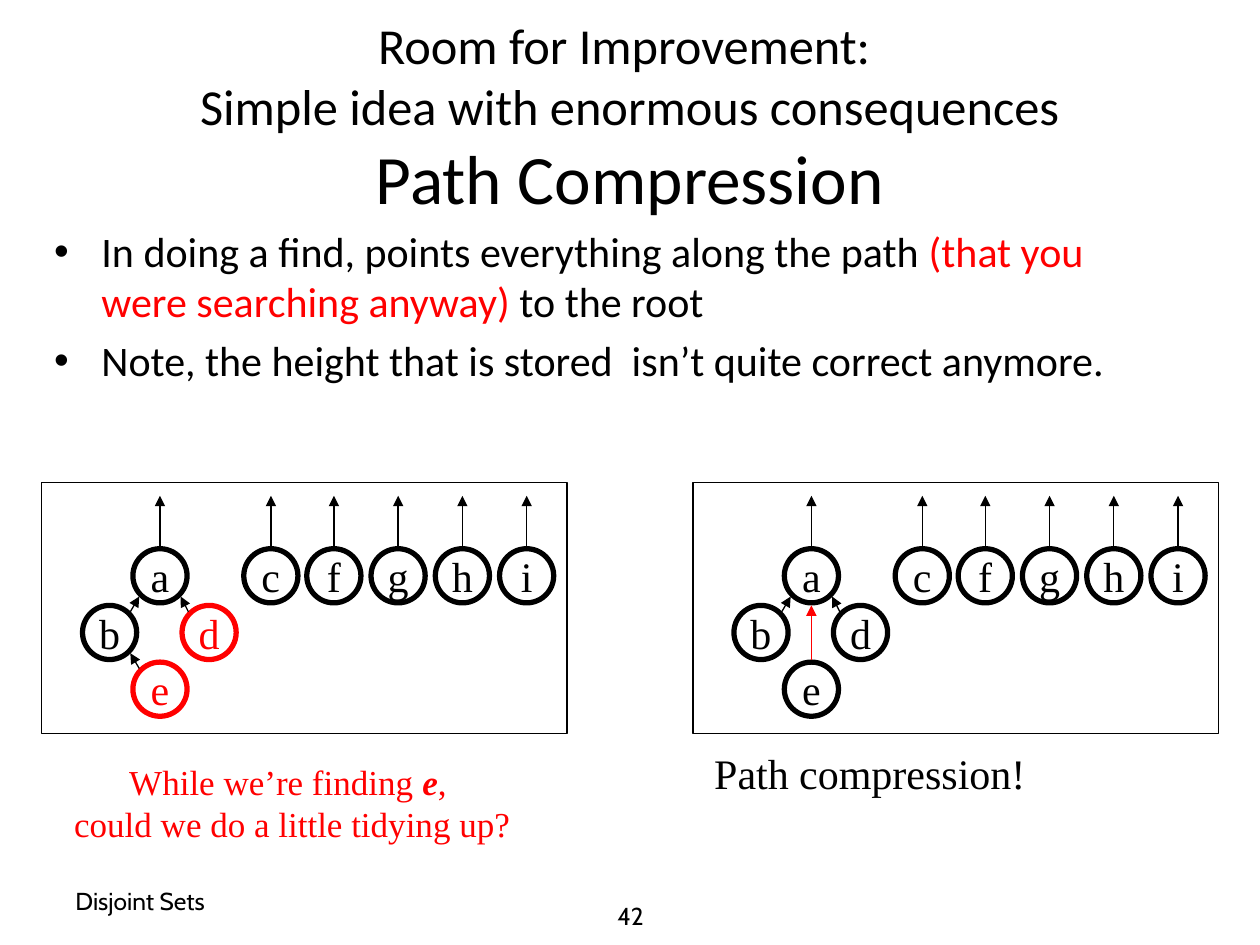
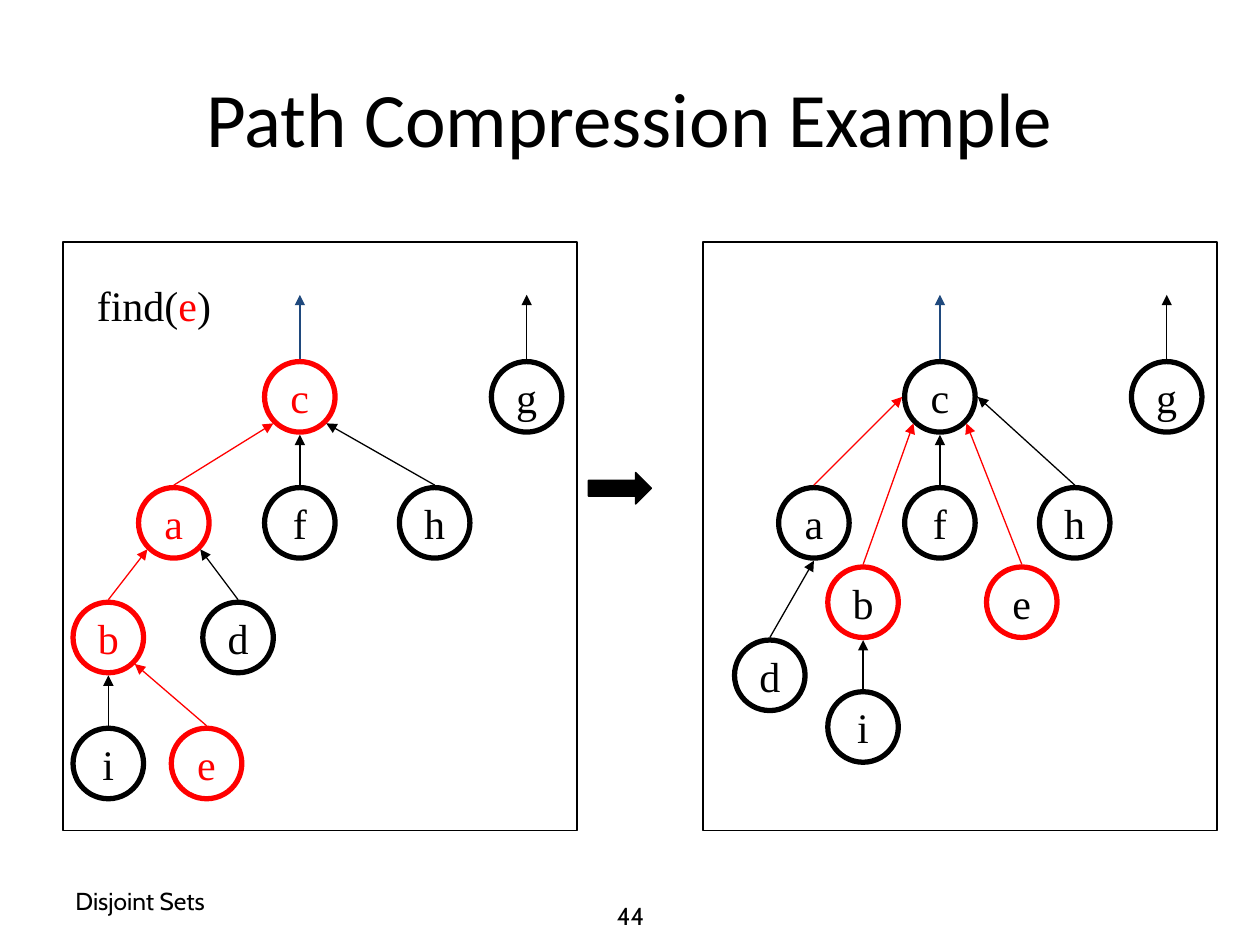
from lxml.etree import SubElement
from pptx import Presentation
from pptx.dml.color import RGBColor
from pptx.enum.shapes import MSO_CONNECTOR as Link, MSO_SHAPE as Shape
from pptx.enum.text import MSO_ANCHOR as Anchor, MSO_AUTO_SIZE as Fit, PP_ALIGN as Align
from pptx.oxml.ns import qn
from pptx.util import Inches, Pt

BLACK = RGBColor(0x00, 0x00, 0x00)
WHITE = RGBColor(0xFF, 0xFF, 0xFF)
RED = RGBColor(0xFF, 0x00, 0x00)
BLUE = RGBColor(0x1F, 0x49, 0x7D)
SANS, SERIF, SMALL = "Calibri", "Times New Roman", "Cabin"
PORTS = {
    "n": (0, -1), "s": (0, 1), "e": (1, 0), "w": (-1, 0),
    "nw": (-0.7, -0.7), "ne": (0.7, -0.7), "sw": (-0.7, 0.7), "se": (0.7, 0.7),
}
GAP = 0.02


def place(shape, left, top, width, height):
    shape.left, shape.top = Inches(left), Inches(top)
    shape.width, shape.height = Inches(width), Inches(height)


def write(frame, lines, size, font=SERIF, ink=BLACK, align=Align.LEFT):
    for index, parts in enumerate(lines):
        para = frame.add_paragraph() if index else frame.paragraphs[0]
        para.alignment = align
        para.font.name, para.font.size = font, Pt(size)
        para.font.color.rgb = ink
        for part in parts:
            text, tint = part if isinstance(part, tuple) else (part, None)
            run = para.add_run()
            run.text = text
            if tint is not None:
                run.font.color.rgb = tint


def add_text(slide, box, lines, size, wrap=False, anchor=Anchor.TOP, **style):
    frame = slide.shapes.add_textbox(*map(Inches, box)).text_frame
    frame.word_wrap = wrap
    frame.vertical_anchor = anchor
    write(frame, lines, size, **style)
    return frame


def add_block(slide, kind, box, fill, line=BLACK, weight=0.75):
    shape = slide.shapes.add_shape(kind, *map(Inches, box))
    shape.shadow.inherit = False
    if fill is None:
        shape.fill.background()
    else:
        shape.fill.solid()
        shape.fill.fore_color.rgb = fill
    shape.line.color.rgb = line
    shape.line.width = Pt(weight)
    return shape


def add_arrow(slide, start, end, ink=BLACK):
    arrow = slide.shapes.add_connector(Link.STRAIGHT, *map(Inches, (*start, *end)))
    arrow.line.color.rgb = ink
    arrow.line.width = Pt(0.75)
    props = arrow._element.spPr
    SubElement(props.find(qn("a:ln")), qn("a:tailEnd"), type="triangle")
    SubElement(props, qn("a:effectLst"))


def add_node(slide, letter, spot, radius, ring, ink):
    x, y = spot
    box = (x - radius, y - radius, 2 * radius, 2 * radius)
    frame = add_block(slide, Shape.OVAL, box, None, ring, 3).text_frame
    frame.word_wrap = False
    frame.vertical_anchor = Anchor.MIDDLE
    write(frame, [[letter]], 24, ink=ink, align=Align.CENTER)


def add_forest(slide, box, nodes, links, stems, radius, rise, rings="", inks=""):
    add_block(slide, Shape.RECTANGLE, box, WHITE)
    spots = {key: (box[0] + x, y) for key, (x, y) in nodes.items()}

    def port(key, side):
        (x, y), (dx, dy) = spots[key], PORTS[side]
        reach = radius + GAP
        return x + dx * reach, y + dy * reach

    for key, spot in spots.items():
        ring = RED if key in rings else BLACK
        add_node(slide, key, spot, radius, ring, RED if key in inks else BLACK)
    for child, side, parent, goal, ink in links:
        add_arrow(slide, port(child, side), port(parent, goal), ink)
    for key, ink in stems.items():
        x, y = port(key, "n")
        add_arrow(slide, (x, y), (x, y - rise), ink)


def add_slide(deck, layout, number):
    slide = deck.slides.add_slide(deck.slide_layouts[layout])
    title = slide.shapes.title
    place(title, 0.5, 0.3, 9, 1.25)
    title.text_frame.auto_size = Fit.NONE
    title.text_frame.vertical_anchor = Anchor.MIDDLE
    style = dict(wrap=True, anchor=Anchor.MIDDLE, font=SMALL)
    add_text(slide, (0.5, 6.95, 2.33, 0.4), [["Disjoint Sets"]], 14, **style)
    add_text(slide, (3.42, 7.07, 3.17, 0.4), [[number]], 14, align=Align.CENTER, **style)
    return slide


def build_idea(deck):
    slide = add_slide(deck, 1, "42")
    frame = slide.shapes.title.text_frame
    write(frame, [["Room for Improvement: "]], 28.8, SANS, align=Align.CENTER)
    para = frame.paragraphs[0]
    for text in ("Simple idea with enormous consequences", "Path Compression"):
        para.add_line_break()
        run = para.add_run()
        run.text = text
    run.font.size = Pt(39.6)

    body = slide.placeholders[1]
    place(body, 0.33, 1.74, 9.02, 1.51)
    body.text_frame.auto_size = Fit.NONE
    write(body.text_frame, [
        ["In doing a find, points everything along the path ",
         ("(that you were searching anyway) ", RED), "to the root"],
        ["Note, the height that is stored  isn’t quite correct anymore."],
    ], 24, SANS)
    for para, space in zip(body.text_frame.paragraphs, (0, 4.8)):
        para.space_before = Pt(space)

    nodes = {"a": (0.94, 4.57), "c": (1.82, 4.57)}
    nodes |= {key: (2.32 + 0.51 * step, 4.57) for step, key in enumerate("fghi")}
    nodes |= {"b": (0.54, 5.02), "d": (1.33, 5.02), "e": (0.94, 5.47)}
    stems = dict.fromkeys("acfghi", BLACK)
    links = [("b", "ne", "a", "sw", BLACK), ("d", "nw", "a", "se", BLACK)]
    before = ("e", "nw", "b", "se", BLACK)
    after = ("e", "n", "a", "s", RED)
    for left, extra, reds in ((0.33, before, "de"), (5.5, after, "")):
        add_forest(slide, (left, 3.83, 4.17, 1.99), nodes, links + [extra],
                   stems, 0.215, 0.4, reds, reds)

    frame = add_text(slide, (0.48, 5.99, 3.68, 0.77), [
        ["While we’re finding ", "e", ", "],
        ["could we do a little tidying up?"],
    ], 20, ink=RED, align=Align.CENTER)
    font = frame.paragraphs[0].runs[1].font
    font.bold = font.italic = True
    add_text(slide, (5.57, 5.88, 2.67, 0.5), [["Path compression!"]], 24)


def build_sample(deck):
    slide = add_slide(deck, 5, "44")
    write(slide.shapes.title.text_frame, [["Path Compression Example"]], 44, SANS,
          align=Align.CENTER)
    shared = {"c": (1.88, 3.15), "g": (3.68, 3.15),
              "a": (0.88, 4.15), "f": (1.88, 4.15), "h": (2.95, 4.15)}
    stems = {"c": BLUE, "g": BLACK}
    common = [("f", "n", "c", "s", BLACK), ("i", "n", "b", "s", BLACK)]

    before = shared | {"b": (0.36, 5.06), "d": (1.39, 5.06),
                       "i": (0.36, 6.06), "e": (1.14, 6.06)}
    add_forest(slide, (0.5, 1.92, 4.08, 4.67), before, common + [
        ("h", "n", "c", "se", BLACK), ("a", "n", "c", "sw", RED),
        ("b", "n", "a", "sw", RED), ("d", "n", "a", "se", BLACK),
        ("e", "n", "b", "se", RED),
    ], stems, 0.28, 0.51, "abce", "abce")
    add_text(slide, (0.67, 2.17, 1.11, 0.5), [["find(", ("e", RED), ")"]], 24)
    add_block(slide, Shape.RIGHT_ARROW, (4.67, 3.75, 0.5, 0.25), BLACK)

    after = shared | {"d": (0.53, 5.36), "e": (2.53, 4.78),
                      "b": (1.27, 4.78), "i": (1.27, 5.77)}
    add_forest(slide, (5.58, 1.92, 4.08, 4.67), after, common + [
        ("h", "n", "c", "e", BLACK), ("a", "n", "c", "w", RED),
        ("d", "n", "a", "s", BLACK), ("e", "n", "c", "se", RED),
        ("b", "n", "c", "sw", RED),
    ], stems, 0.28, 0.51, "be")


def main():
    deck = Presentation()
    deck.slide_width, deck.slide_height = Inches(10), Inches(7.5)
    build_idea(deck)
    build_sample(deck)
    deck.save("out.pptx")


if __name__ == "__main__":
    main()
